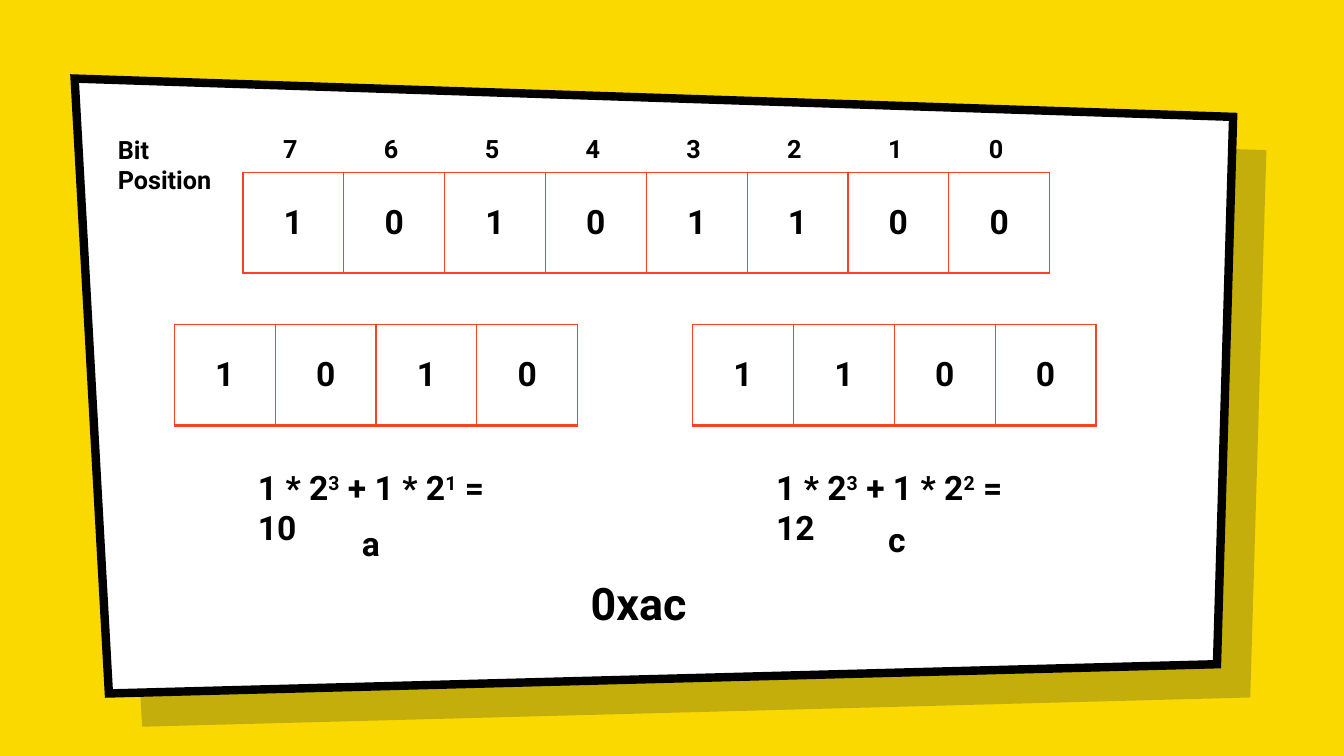
from lxml import etree
from pptx import Presentation
from pptx.dml.color import RGBColor
from pptx.enum.text import MSO_ANCHOR, PP_ALIGN
from pptx.oxml.ns import qn
from pptx.util import Inches, Pt

LEFT, CENTER = PP_ALIGN.LEFT, PP_ALIGN.CENTER
MIDDLE = MSO_ANCHOR.MIDDLE

THEME = {
    "font": "Roboto",
    "background": RGBColor.from_string("FAD900"),
    "panel": RGBColor.from_string("FFFFFF"),
    "ink": RGBColor.from_string("000000"),
    "shadow": RGBColor.from_string("001936"),
    "shadow_alpha": "22000",
    "grid": "FF4026",
    "label": Pt(18),
    "body": Pt(24),
    "result": Pt(32),
}


def write_text(frame, text, size=THEME["body"], align=LEFT):
    """Write bold text; pieces between ^ marks are superscript."""
    frame.word_wrap = True
    paragraph = frame.paragraphs[0]
    paragraph.alignment = align
    for index, piece in enumerate(text.split("^")):
        run = paragraph.add_run()
        run.text = piece
        run.font.name = THEME["font"]
        run.font.size = size
        run.font.bold = True
        run.font.color.rgb = THEME["ink"]
        if index % 2:
            run.font._element.set("baseline", "30000")


def add_bit_row(slide, left, top, bits):
    """Add a one-row table with a one-inch square cell per bit."""
    graphic = slide.shapes.add_table(
        1, len(bits), Inches(left), Inches(top), Inches(len(bits)), Inches(1))
    table = graphic.table
    table.first_row = table.horz_banding = False
    for cell, bit in zip(table.iter_cells(), bits):
        cell.vertical_anchor = MIDDLE
        cell.fill.background()
        write_text(cell.text_frame, bit, align=CENTER)
        properties = cell._tc.get_or_add_tcPr()
        borders = [("lnL", 1), ("lnR", 1), ("lnT", 1), ("lnB", 2)]
        for index, (side, width) in enumerate(borders):
            line = etree.Element(qn(f"a:{side}"), w=str(Pt(width)))
            fill = etree.SubElement(line, qn("a:solidFill"))
            etree.SubElement(fill, qn("a:srgbClr"), val=THEME["grid"])
            properties.insert(index, line)


presentation = Presentation()
presentation.slide_width = Inches(13.33)
presentation.slide_height = Inches(7.5)
slide = presentation.slides.add_slide(presentation.slide_layouts[6])
slide.background.fill.solid()
slide.background.fill.fore_color.rgb = THEME["background"]

# Slanted panel over its offset shadow
corners = [(0.74, 0.78), (12.23, 1.16), (12.07, 6.59), (1.08, 6.88)]
for offset, color in [(0.33, THEME["shadow"]), (0, THEME["panel"])]:
    points = [(Inches(x + offset), Inches(y + offset)) for x, y in corners]
    builder = slide.shapes.build_freeform(*points[0])
    builder.add_line_segments(points[1:], close=True)
    panel = builder.convert_to_shape()
    panel.shadow.inherit = False
    panel.fill.solid()
    panel.fill.fore_color.rgb = color
    if offset:
        panel.line.fill.background()
        tint = panel._element.spPr.find(f"{qn('a:solidFill')}/{qn('a:srgbClr')}")
        etree.SubElement(tint, qn("a:alpha"), val=THEME["shadow_alpha"])
    else:
        panel.line.color.rgb = THEME["ink"]
        panel.line.width = Pt(6)
        outline = panel._element.spPr.find(qn("a:ln"))
        etree.SubElement(outline, qn("a:miter"), lim="800000")

# The byte and its two halves
byte = "10101100"
add_bit_row(slide, 2.41, 1.71, byte)
add_bit_row(slide, 1.73, 3.22, byte[:4])
add_bit_row(slide, 6.87, 3.22, byte[4:])

# Sums, hex digits, result and row label
texts = [
    ("1 * 2^3^ + 1 * 2^1^ = 10", 2.46, 4.58, 2.54, 0.5, THEME["body"], LEFT),
    ("1 * 2^3^ + 1 * 2^2^ = 12", 7.6, 4.58, 2.58, 0.5, THEME["body"], LEFT),
    ("a", 3.49, 5.14, 0.39, 0.5, THEME["body"], LEFT),
    ("c", 8.71, 5.1, 0.37, 0.5, THEME["body"], LEFT),
    ("0xac", 5.76, 5.66, 1.18, 0.64, THEME["result"], LEFT),
    ("Bit Position", 1.07, 1.28, 1.46, 0.4, THEME["label"], LEFT),
]

# Bit positions, one inch apart above the byte
for column in range(len(byte)):
    position = str(len(byte) - 1 - column)
    texts.append((position, 2.7 + column, 1.27, 0.36, 0.4, THEME["label"], CENTER))

for text, left, top, width, height, size, align in texts:
    box = slide.shapes.add_textbox(
        Inches(left), Inches(top), Inches(width), Inches(height))
    write_text(box.text_frame, text, size=size, align=align)

presentation.save("out.pptx")
